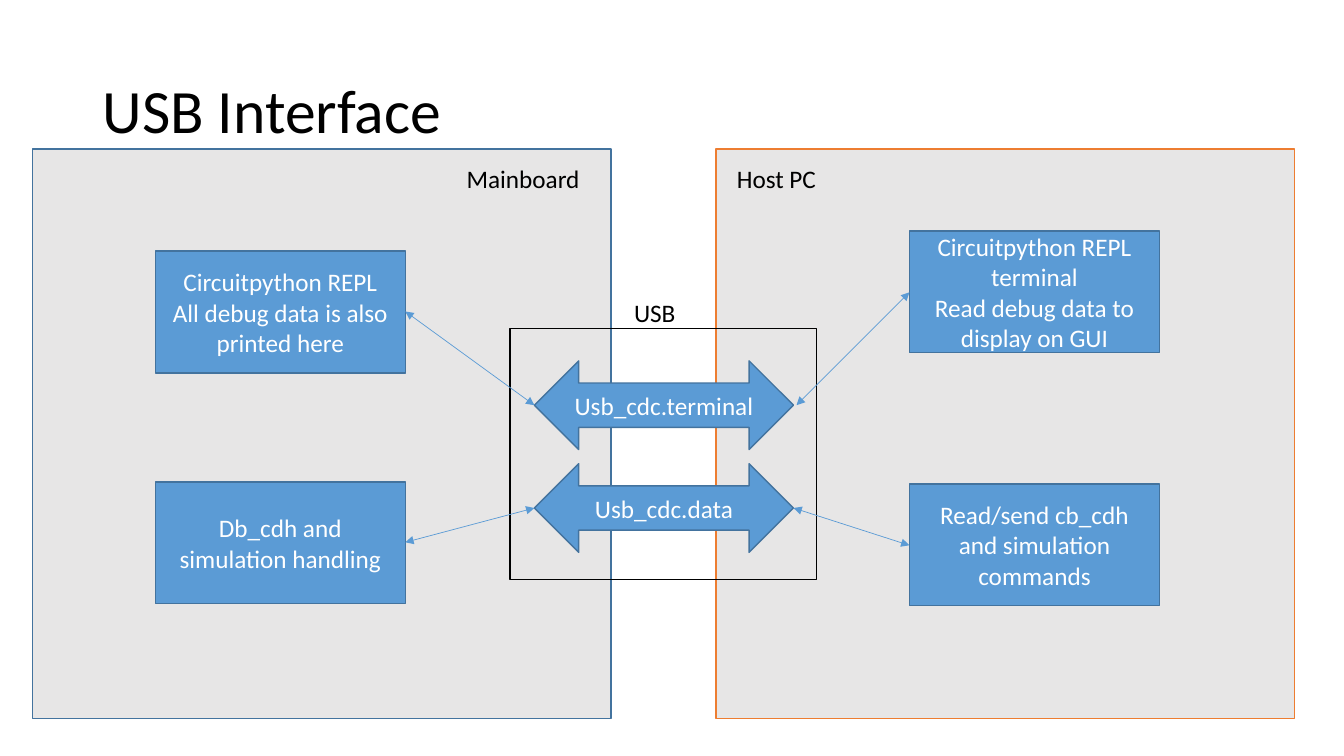
from dataclasses import dataclass

from lxml.etree import SubElement
from pptx import Presentation
from pptx.dml.color import RGBColor
from pptx.enum.shapes import MSO_CONNECTOR as Connector
from pptx.enum.shapes import MSO_SHAPE as Preset
from pptx.enum.text import MSO_ANCHOR as Anchor
from pptx.enum.text import PP_ALIGN as Align
from pptx.oxml.ns import qn
from pptx.slide import Slide
from pptx.text.text import TextFrame
from pptx.util import Emu, Pt

EMU_PER_PX = 9144
FONT = "Calibri"
COLORS = {
    "panel": "E7E6E6",
    "blue": "5B9BD5",
    "edge": "43739E",
    "orange": "ED7D31",
    "black": "000000",
    "white": "FFFFFF",
}


@dataclass(frozen=True)
class Block:
    left: int
    top: int
    width: int
    height: int
    lines: tuple[str, ...] = ()
    fill: str | None = "blue"
    edge: str = "edge"
    preset: Preset = Preset.RECTANGLE


@dataclass(frozen=True)
class Label:
    left: int
    top: int
    width: int
    text: str
    height: int = 40
    size: int = 18
    anchor: Anchor = Anchor.TOP
    spacing: float = 1.0


@dataclass(frozen=True)
class Link:
    start: tuple[int, int]
    end: tuple[int, int]


def panel(left: int, edge: str) -> Block:
    return Block(left, 148, 574, 565, fill="panel", edge=edge)


def usb_channel(top: int, name: str) -> Block:
    return Block(530, top, 257, 88, (name,), preset=Preset.LEFT_RIGHT_ARROW)


def task(left: int, top: int, *lines: str) -> Block:
    return Block(left, top, 248, 121, lines)


TITLE = Label(92, 40, 1150, "USB Interface", 145, 44, Anchor.MIDDLE, 0.9)
PANELS = (panel(32, "edge"), panel(710, "orange"))
LABELS = (
    Label(453, 157, 140, "Mainboard"),
    Label(721, 157, 140, "Host PC"),
    Label(619, 290, 157, "USB"),
)
BLOCKS = (
    usb_channel(358, "Usb_cdc.terminal"),
    usb_channel(460, "Usb_cdc.data"),
    Block(506, 326, 304, 249, fill=None, edge="black"),
    task(154, 249, "Circuitpython REPL", "All debug data is also printed here"),
    task(154, 478, "Db_cdh and simulation handling"),
    task(902, 229, "Circuitpython REPL terminal", "Read debug data to display on GUI"),
    task(902, 480, "Read/send cb_cdh and simulation commands"),
)
LINKS = (
    Link((402, 309), (530, 402)),
    Link((402, 538), (530, 504)),
    Link((790, 402), (902, 290)),
    Link((787, 504), (902, 541)),
)


def px(length: int) -> Emu:
    return Emu(length * EMU_PER_PX)


def color(name: str) -> RGBColor:
    return RGBColor.from_string(COLORS[name])


def write(frame: TextFrame, lines: tuple[str, ...], size: int, ink: str,
          align: Align, spacing: float = 1.0) -> None:
    frame.word_wrap = True
    for index, line in enumerate(lines):
        paragraph = frame.add_paragraph() if index else frame.paragraphs[0]
        paragraph.text = line
        paragraph.alignment = align
        paragraph.line_spacing = spacing
        paragraph.font.name = FONT
        paragraph.font.size = Pt(size)
        paragraph.font.color.rgb = color(ink)


def draw_block(slide: Slide, block: Block) -> None:
    shape = slide.shapes.add_shape(
        block.preset, px(block.left), px(block.top), px(block.width), px(block.height))
    shape.shadow.inherit = False
    if block.fill:
        shape.fill.solid()
        shape.fill.fore_color.rgb = color(block.fill)
    else:
        shape.fill.background()
    shape.line.color.rgb = color(block.edge)
    shape.line.width = Pt(1)
    shape.text_frame.vertical_anchor = Anchor.MIDDLE
    write(shape.text_frame, block.lines, 18, "white", Align.CENTER)


def draw_label(slide: Slide, label: Label) -> None:
    shape = slide.shapes.add_textbox(
        px(label.left), px(label.top), px(label.width), px(label.height))
    shape.text_frame.vertical_anchor = label.anchor
    write(shape.text_frame, (label.text,), label.size, "black", Align.LEFT, label.spacing)


def draw_link(slide: Slide, link: Link) -> None:
    connector = slide.shapes.add_connector(
        Connector.STRAIGHT, *map(px, link.start), *map(px, link.end))
    connector.line.color.rgb = color("blue")
    connector.line.width = Pt(0.5)
    outline = connector.line._get_or_add_ln()
    for end in ("a:headEnd", "a:tailEnd"):
        SubElement(outline, qn(end), type="triangle")
    SubElement(connector._element.spPr, qn("a:effectLst"))


def main() -> None:
    presentation = Presentation()
    presentation.slide_width = px(1333)
    presentation.slide_height = px(750)
    slide = presentation.slides.add_slide(presentation.slide_layouts[6])
    draw_label(slide, TITLE)
    for block in PANELS + BLOCKS:
        draw_block(slide, block)
    for label in LABELS:
        draw_label(slide, label)
    for link in LINKS:
        draw_link(slide, link)
    presentation.save("out.pptx")


if __name__ == "__main__":
    main()
